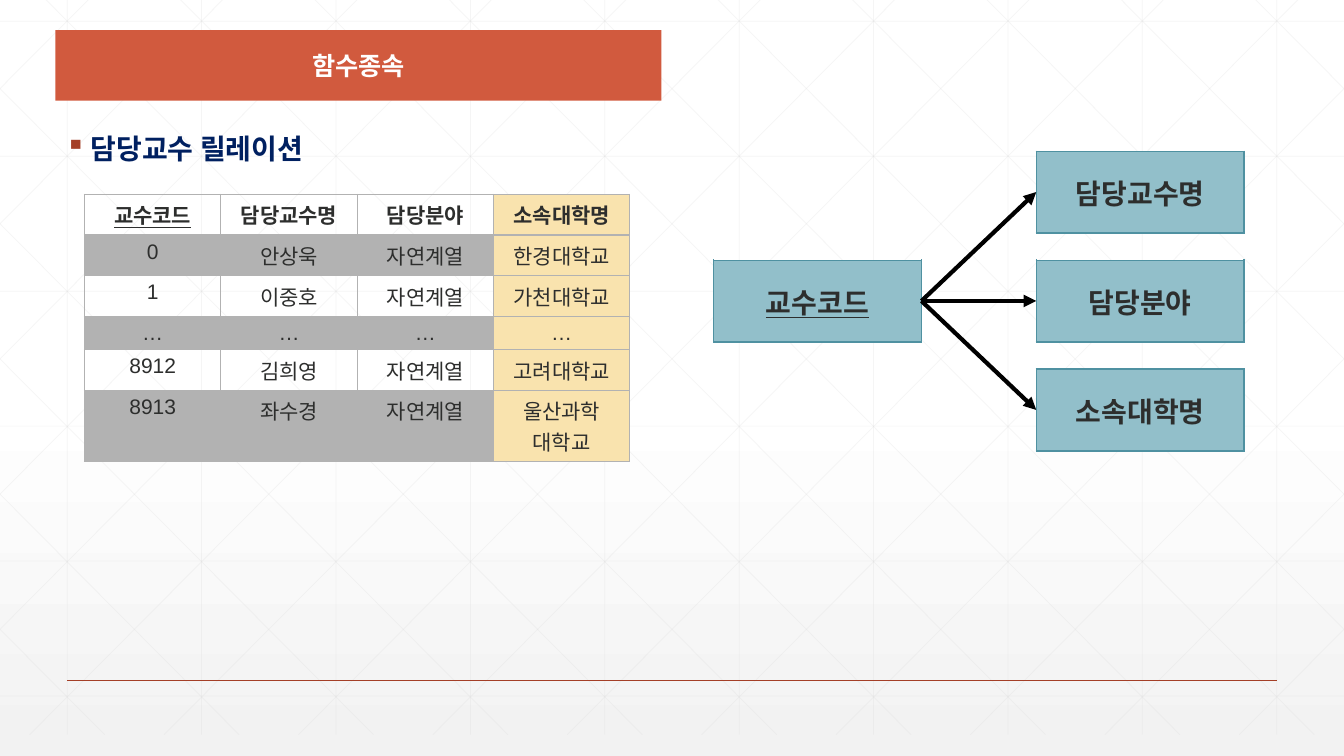
import pptx
import pptx.util
import pptx.dml.color
import pptx.enum.shapes
import pptx.enum.text
import pptx.oxml
import pptx.oxml.ns

# Slide grid: 48 square columns by 27 rows
WIDE, HIGH = 48, 27
UNIT = 13.333 / WIDE
COLORS = {
    "white": "FFFFFF", "smoke": "F2F2F2", "mesh": "D9D9D9", "rule": "A43F27",
    "banner": "D15A3E", "navy": "002060", "ink": "2D2E2D", "gray": "B2B2B2",
    "sand": "F9E3AE", "teal": "92BFCA", "edge": "4F91A1", "black": "000000",
}
NOTO = "Noto Sans CJK KR"
FORMATS = {
    "title": {"name": NOTO, "size": pptx.util.Pt(18), "bold": True},
    "body": {"name": NOTO, "size": pptx.util.Pt(20), "bold": True},
    "head": {"name": "Arial", "size": pptx.util.Pt(15), "bold": True},
    "data": {"name": "Arial", "size": pptx.util.Pt(15), "bold": False},
    "node": {"name": "Arial", "size": pptx.util.Pt(20), "bold": True},
}
ROWS = [
    ["교수코드", "담당교수명", "담당분야", "소속대학명"],
    ["0", "안상욱", "자연계열", "한경대학교"],
    ["1", "이중호", "자연계열", "가천대학교"],
    ["…", "…", "…", "…"],
    ["8912", "김희영", "자연계열", "고려대학교"],
    ["8913", "좌수경", "자연계열", "울산과학\v대학교"],
]
HEIGHTS = [1.44, 1.44, 1.44, 1.2, 1.44, 2.53]
KEY = "교수코드"
TARGETS = ["담당교수명", "담당분야", "소속대학명"]


def grid(*cells):
    return [pptx.util.Inches(cell * UNIT) for cell in cells]


def color(name):
    return pptx.dml.color.RGBColor.from_string(COLORS[name])


def add_xml(parent, tag, **attrs):
    node = parent.makeelement(pptx.oxml.ns.qn(tag), attrs)
    parent.append(node)
    return node


def fade(fill, percent):
    clr = fill._xPr.find(".//" + pptx.oxml.ns.qn("a:srgbClr"))
    add_xml(clr, "a:alpha", val=str(percent * 1000))


def write(frame, text, style, tint, center=True, under=False):
    para = frame.paragraphs[0]
    para.text = text
    if center:
        para.alignment = pptx.enum.text.PP_ALIGN.CENTER
    for run in para.runs:
        for key, value in FORMATS[style].items():
            setattr(run.font, key, value)
        run.font.color.rgb = color(tint)
        if under:
            run.font.underline = True
        add_xml(run.font._element, "a:ea", typeface=NOTO)
    return para


def add_line(shapes, start, end, tint, width):
    line = shapes.add_connector(
        pptx.enum.shapes.MSO_CONNECTOR.STRAIGHT, *grid(*start, *end))
    line.line.color.rgb = color(tint)
    line.line.width = pptx.util.Pt(width)
    add_xml(line._element.spPr, "a:effectLst")
    return line


def add_mesh(slide):
    shapes = slide.shapes.add_group_shape().shapes
    top, base, run = -0.76, 26.24, 26.84
    ends = [((2.4 + 4.8 * i, top), (2.4 + 4.8 * i, base)) for i in range(10)]
    ends += [((0, 0.76 + 4.82 * i), (WIDE, 0.76 + 4.82 * i)) for i in range(6)]
    # Diagonals, cut at the slide's sides, each with its mirror
    for step in range(-5, 10):
        x = 0.9 + 4.8 * step
        left, right = max(x, 0), min(x + run, WIDE)
        upper, lower = [top + (at - x) * HIGH / run for at in (left, right)]
        ends.append(((left, upper), (right, lower)))
        ends.append(((WIDE - left, upper), (WIDE - right, lower)))
    for start, end in ends:
        fade(add_line(shapes, start, end, "mesh", 0.5).line.fill, 25)


def add_grid(slide, place, rows, cols):
    table = slide.shapes.add_table(rows, cols, *grid(*place))
    for flag in ("first_row", "horz_banding"):
        setattr(table.table, flag, False)
    return table


def set_edges(cell, tint, **widths):
    props = cell._tc.get_or_add_tcPr()
    for side in "LRTB":
        width = pptx.util.Pt(widths.get(side, 1))
        edge = add_xml(props, "a:ln" + side, w=str(width))
        add_xml(add_xml(edge, "a:solidFill"), "a:srgbClr", val=COLORS[tint])


def paint(cell, tint):
    cell.fill.solid()
    cell.fill.fore_color.rgb = color(tint)


def add_data(slide):
    place = (3.02, 6.95, 4 * 4.87, sum(HEIGHTS))
    table = add_grid(slide, place, len(ROWS), 4).table
    for i, texts in enumerate(ROWS):
        table.rows[i].height = grid(HEIGHTS[i])[0]
        for j, text in enumerate(texts):
            cell = table.cell(i, j)
            write(cell.text_frame, text, "data" if i else "head", "ink",
                  under=text == KEY)
            set_edges(cell, "gray", T=2 if i == 1 else 1, B=1 if i else 2)
            if j == 3:
                paint(cell, "sand")
            elif i % 2:
                paint(cell, "gray")
                fade(cell.fill, 20)
            else:
                cell.fill.background()


def add_node(slide, text, left, top):
    node = add_grid(slide, (left, top, 7.42, 2.92), 1, 1)
    cell = node.table.cell(0, 0)
    cell.vertical_anchor = pptx.enum.text.MSO_ANCHOR.MIDDLE
    write(cell.text_frame, text, "node", "ink", under=text == KEY)
    set_edges(cell, "edge", B=2)
    paint(cell, "teal")
    return node


def add_links(slide):
    key = add_node(slide, KEY, 25.49, 9.29)
    for i, text in enumerate(TARGETS):
        node = add_node(slide, text, 37.01, 5.4 + 3.89 * i)
        link = add_line(slide.shapes, (0, 0), (1, 1), "black", 3)
        link.begin_connect(key, 3)
        link.end_connect(node, 1)
        add_xml(link.line._get_or_add_ln(), "a:tailEnd", type="triangle")


def add_text(slide, place, text, style, tint, center=True):
    frame = slide.shapes.add_textbox(*grid(*place)).text_frame
    frame.word_wrap = True
    return write(frame, text, style, tint, center)


def add_banner(slide):
    bar = slide.shapes.add_shape(
        pptx.enum.shapes.MSO_SHAPE.RECTANGLE, *grid(1.98, 1.08, 21.64, 2.52))
    bar.shadow.inherit = False
    bar.fill.solid()
    bar.fill.fore_color.rgb = color("banner")
    bar.line.fill.background()
    add_text(slide, (1.98, 1.62, 21.64, 1.44), "함수종속", "title", "white")


def add_topic(slide):
    para = add_text(slide, (1.98, 4.64, 43.52, 1.48), "담당교수 릴레이션",
                    "body", "navy", center=False)
    para.line_spacing = 0.9
    props = para._p.get_or_add_pPr()
    indent = pptx.util.Inches(0.25)
    props.set("marL", str(indent))
    props.set("indent", str(-indent))
    add_xml(add_xml(props, "a:buClr"), "a:srgbClr", val=COLORS["rule"])
    add_xml(props, "a:buChar", char="▪")


def set_back(slide):
    fill = slide.background.fill
    fill.gradient()
    fill.gradient_angle = 270
    for stop, at, tint in zip(fill.gradient_stops, (0.53, 1), ("white", "smoke")):
        stop.position = at
        stop.color.rgb = color(tint)


def main():
    deck = pptx.Presentation()
    deck.slide_width, deck.slide_height = grid(WIDE, HIGH)
    slide = deck.slides.add_slide(deck.slide_layouts[6])
    # Backdrop
    set_back(slide)
    add_mesh(slide)
    add_line(slide.shapes, (2.4, 24.3), (45.6, 24.3), "rule", 1)
    # Content
    add_data(slide)
    add_banner(slide)
    add_topic(slide)
    add_links(slide)
    deck.save("out.pptx")


if __name__ == "__main__":
    main()
